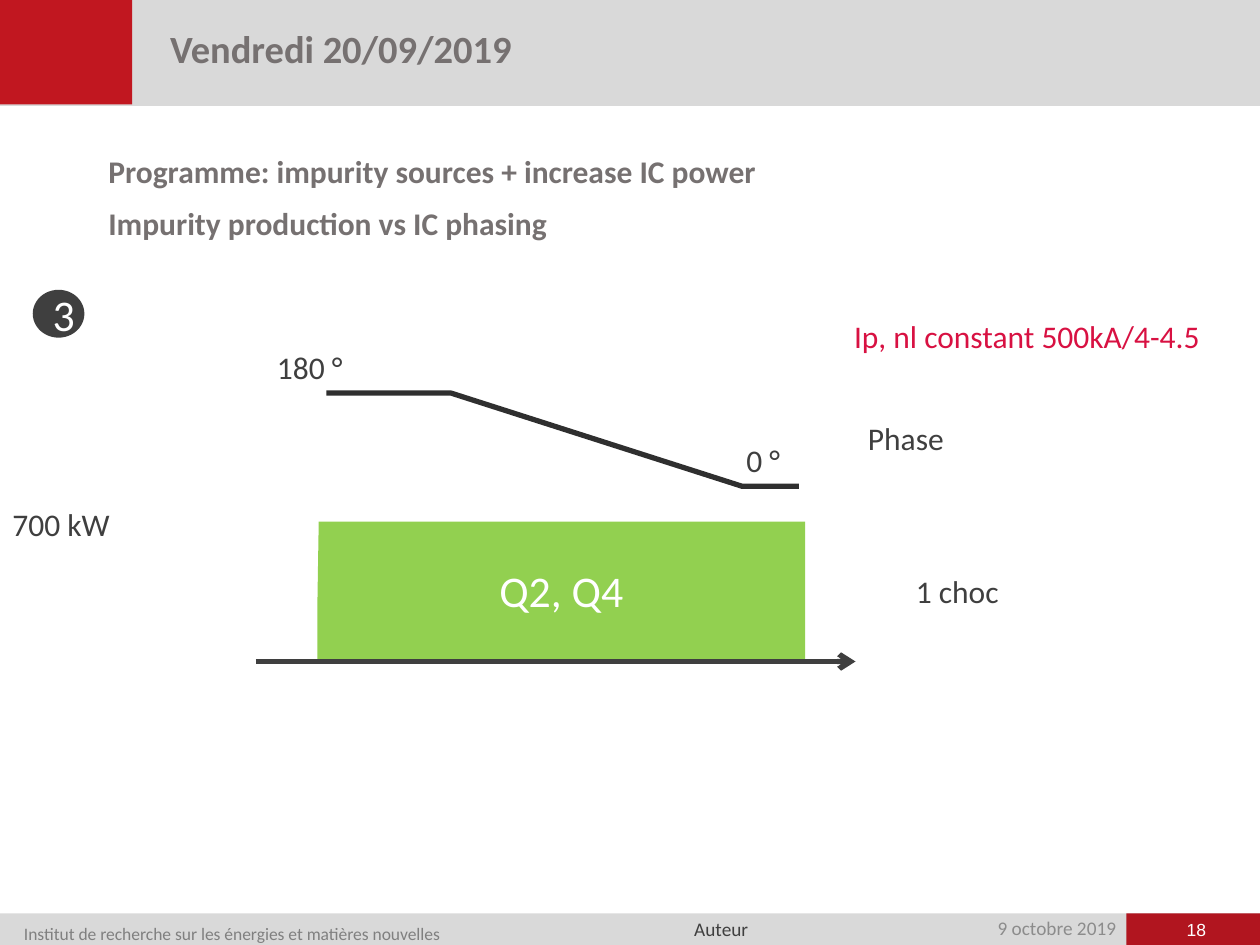
from lxml.etree import SubElement
from pptx import Presentation
from pptx.dml.color import RGBColor
from pptx.enum.shapes import MSO_CONNECTOR, MSO_SHAPE
from pptx.enum.text import MSO_ANCHOR, MSO_AUTO_SIZE, PP_ALIGN
from pptx.oxml.ns import qn
from pptx.util import Inches, Pt

RED = RGBColor(0xC1, 0x17, 0x20)
DARK_RED = RGBColor(0xB1, 0x15, 0x1F)
CRIMSON = RGBColor(0xD8, 0x11, 0x42)
GREEN = RGBColor(0x92, 0xD0, 0x50)
BAND = RGBColor(0xD9, 0xD9, 0xD9)
HEADING = RGBColor(0x76, 0x71, 0x71)
DATE_GREY = RGBColor(0x8C, 0x8C, 0x8C)
FOOTER_GREY = RGBColor(0x80, 0x80, 0x80)
INK = RGBColor(0x3F, 0x3F, 0x3F)
CURVE = RGBColor(0x2F, 0x2F, 0x2F)
WHITE = RGBColor(0xFF, 0xFF, 0xFF)

COLUMNS, ROWS = 100, 75
FOOTER_TOP, FOOTER_HEIGHT = 72.5, 2.6
FOOTER_INSETS = (0.08, 0)
HEADING_FORMAT = dict(color=HEADING, bold=True)


def write(tf, text, size=18, color=INK, font="Calibri", bold=False,
          align=PP_ALIGN.LEFT, spacing=None, before=None):
    """Fill a text frame, one paragraph for each line of text."""
    for i, line in enumerate(text.split("\n")):
        p = tf.add_paragraph() if i else tf.paragraphs[0]
        p.alignment = align
        p.line_spacing = spacing
        if before is not None:
            p.space_before = Pt(before)
        r = p.add_run()
        r.text = line
        r.font.name, r.font.size, r.font.bold = font, Pt(size), bold
        r.font.color.rgb = color


class Board:
    """The current slide on a grid of COLUMNS by ROWS, with its line weight."""

    def __init__(self, prs, weight=3):
        self.s = prs.slides.add_slide(prs.slide_layouts[6])
        self.column = prs.slide_width / COLUMNS
        self.row = prs.slide_height / ROWS
        self.weight = Pt(weight)

    def place(self, x, y):
        return round(x * self.column), round(y * self.row)

    def paint(self, sp, fill=None, line=None):
        sp.shadow.inherit = False
        if fill is None:
            sp.fill.background()
        else:
            sp.fill.solid()
            sp.fill.fore_color.rgb = fill
        if line is None:
            sp.line.fill.background()
        else:
            sp.line.color.rgb = line
            sp.line.width = self.weight
        return sp

    def shape(self, kind, x, y, w, h, fill):
        sp = self.s.shapes.add_shape(kind, *self.place(x, y), *self.place(w, h))
        return self.paint(sp, fill)

    def outline(self, points, closed, **style):
        start, *rest = [self.place(*point) for point in points]
        builder = self.s.shapes.build_freeform(*start)
        builder.add_line_segments(rest, close=closed)
        return self.paint(builder.convert_to_shape(), **style)

    def label(self, sp, text):
        """Write large white text in the middle of a shape."""
        sp.text_frame.vertical_anchor = MSO_ANCHOR.MIDDLE
        write(sp.text_frame, text, size=25, color=WHITE, align=PP_ALIGN.CENTER)

    def text(self, text, x, y, w, h=4, insets=(0.1, 0.05), wrap=True,
             anchor=MSO_ANCHOR.TOP, **style):
        tf = self.s.shapes.add_textbox(*self.place(x, y), *self.place(w, h)).text_frame
        tf.word_wrap = wrap
        tf.auto_size = MSO_AUTO_SIZE.SHAPE_TO_FIT_TEXT
        tf.vertical_anchor = anchor
        tf.margin_left = tf.margin_right = Inches(insets[0])
        tf.margin_top = tf.margin_bottom = Inches(insets[1])
        write(tf, text, **style)

    def arrow(self, x1, y1, x2, y2):
        cx = self.s.shapes.add_connector(
            MSO_CONNECTOR.STRAIGHT, *self.place(x1, y1), *self.place(x2, y2))
        cx.line.color.rgb = INK
        cx.line.width = self.weight
        SubElement(cx.line._get_or_add_ln(), qn("a:tailEnd"), type="arrow")
        SubElement(cx._element.spPr, qn("a:effectLst"))


def add_frame(board):
    for x, y, w, h, fill in (
        (0, FOOTER_TOP, 100, FOOTER_HEIGHT, BAND),
        (0, -0.3, 100, 8.7, BAND),
        (89.4, FOOTER_TOP, 10.6, FOOTER_HEIGHT, DARK_RED),
        (-0.1, -0.3, 10.6, 8.6, RED),
    ):
        board.shape(MSO_SHAPE.RECTANGLE, x, y, w, h, fill)
    board.text("9 octobre 2019", 72.1, 72.9, 17.3, 1.7, FOOTER_INSETS, size=11,
               color=DATE_GREY, align=PP_ALIGN.RIGHT, spacing=0.9, before=7.5)
    board.text("Institut de recherche sur les énergies et matières nouvelles",
               1.1, 72.6, 45.2, 2.1, FOOTER_INSETS, size=10, color=FOOTER_GREY,
               spacing=1.4)
    board.text("Auteur", 54.3, 72.8, 5.9, 1.9, FOOTER_INSETS, wrap=False, size=11)
    board.text("18", 91.5, 72.9, 6.9, 1.7, FOOTER_INSETS, size=10, color=WHITE,
               font="Arial", align=PP_ALIGN.CENTER)


def add_headings(board):
    board.text("Vendredi 20/09/2019", 12.1, 2.1, 48.1, 4.1, (0.14, 0.05),
               anchor=MSO_ANCHOR.MIDDLE, size=22, spacing=0.8, **HEADING_FORMAT)
    board.text("Programme: impurity sources + increase IC power\n"
               "Impurity production vs IC phasing",
               7.2, 11.7, 86.7, 8.3, (0.14, 0.07), spacing=0.9, before=10.5,
               **HEADING_FORMAT)


def add_diagram(board):
    power = board.outline([(25.2, 47.5), (25.3, 41.4), (63.9, 41.4),
                           (63.9, 52.3), (25.2, 52.3)], True, fill=GREEN)
    board.label(power, "Q2, Q4")
    board.arrow(20.3, 52.5, 67.9, 52.5)
    number = board.shape(MSO_SHAPE.OVAL, 2.6, 23, 4.1, 3.8, INK)
    board.label(number, "3")
    board.outline([(25.9, 31.2), (35.8, 31.2), (58.9, 38.6), (63.4, 38.6)],
                  False, line=CURVE)

    board.text("Ip, nl constant 500kA/4-4.5", 66.8, 24.7, 29.8, wrap=False,
               color=CRIMSON)
    for text, x, y, w, wrap in (
        ("1 choc", 71.7, 44.9, 26.2, True),
        ("700 kW", 0, 39.6, 9.8, False),
        ("Phase", 67.9, 32.8, 26.2, True),
        ("180 °", 21, 27.1, 7.3, False),
        (" 0 °", 57.7, 34.5, 5.3, False),
    ):
        board.text(text, x, y, w, wrap=wrap)


def main():
    prs = Presentation()
    prs.slide_width, prs.slide_height = Inches(10), Inches(7.5)
    board = Board(prs)
    add_frame(board)
    add_headings(board)
    add_diagram(board)
    prs.save("out.pptx")


if __name__ == "__main__":
    main()
